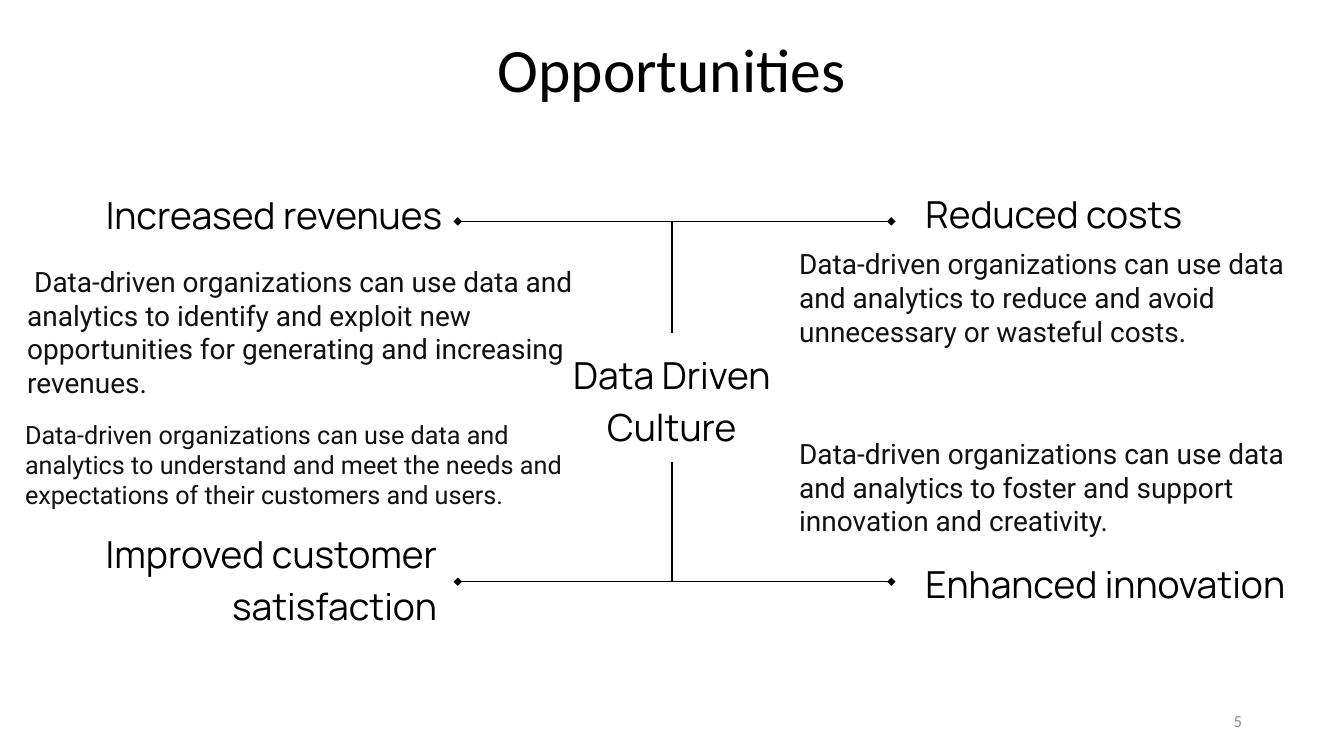
from lxml import etree
from pptx import Presentation
from pptx import util as u
from pptx.dml import color
from pptx.enum import shapes, text
from pptx.oxml import ns

WIDE, HIGH = u.Inches(13.33), u.Inches(7.5)
COLS, ROWS = 32, 18
MID = 16
LEFT, RIGHT = 10.9, 21.22
LOW, TOP = text.MSO_ANCHOR.BOTTOM, text.MSO_ANCHOR.TOP
FLUSH, CENTER, END = text.PP_ALIGN.LEFT, text.PP_ALIGN.CENTER, text.PP_ALIGN.RIGHT

HEADS = [
    ("Increased revenues", (0.91, 4.01, 9.94, 1.94), END),
    ("Data Driven Culture", (12.82, 7.93, 6.36, 3.07), CENTER),
    ("Improved customer satisfaction", (0.29, 13.32, 10.44, 1.94), END),
    ("Reduced costs", (21.72, 3.98, 7.8, 1.94), FLUSH),
    ("Enhanced innovation", (21.72, 12.79, 11.3, 1.94), FLUSH),
]
NOTES = [
    (" Data-driven organizations can use data and analytics to identify and exploit "
     "new opportunities for generating and increasing revenues.",
     (0.41, 6.18, 14.38, 3.48), 20),
    ("Data-driven organizations can use data and analytics to understand and meet "
     "the needs and expectations of their customers and users.",
     (0.36, 9.86, 13.44, 2.42), 18),
    ("Data-driven organizations can use data and analytics to reduce and avoid "
     "unnecessary or wasteful costs.",
     (18.79, 5.76, 12.29, 2.66), 20),
    ("Data-driven organizations can use data and analytics to foster and support "
     "innovation and creativity.",
     (18.79, 10.28, 13.25, 2.66), 20),
]


def col(n):
    return round(WIDE * n / COLS)


def row(n):
    return round(HIGH * n / ROWS)


def rgb(code):
    return color.RGBColor.from_string(code)


def put(item, form):
    for key, val in form.items():
        setattr(item, key, val)


def label(slide, words, area, face, size, tint, frame, para):
    x, y, w, h = area
    box = slide.shapes.add_textbox(col(x), row(y), col(w), row(h))
    put(box.text_frame, {"word_wrap": True, **frame})
    line = box.text_frame.paragraphs[0]
    put(line, para)
    run = line.add_run()
    run.text = words
    put(run.font, {"name": face, "size": u.Pt(size)})
    run.font.color.rgb = rgb(tint)


def pad(anchor):
    sides = ("left", "right", "top", "bottom")
    form = {f"margin_{side}": u.Inches(0.13) for side in sides}
    return {"vertical_anchor": anchor, **form}


def head(slide, words, area, align):
    label(slide, words, area, "Manrope", 26.67, "000000",
          pad(LOW), {"alignment": align, "line_spacing": 1.15})


def note(slide, words, area, size):
    grow = {"auto_size": text.MSO_AUTO_SIZE.SHAPE_TO_FIT_TEXT}
    label(slide, words, area, "Roboto", size, "111111", grow, {"alignment": FLUSH})


def branch(slide, edge, tip, bar):
    across, down = col(tip) - col(MID), row(bar) - row(edge)
    turn = 270 if across > 0 else 90
    half = abs(down) // 2
    if (across > 0) == (down > 0):
        half = -half
    rise = abs(across) // 2
    x, y = col(MID) + across // 2, row(edge) + down // 2
    link = slide.shapes.add_connector(
        shapes.MSO_CONNECTOR.ELBOW, x - half, y - rise, x + half, y + rise)
    link.line.width = u.Pt(0.75)
    link.line.color.rgb = rgb("000000")
    props = link._element.spPr
    props.find(ns.qn("a:xfrm")).set("rot", str(turn * 60000))
    props.find(ns.qn("a:prstGeom")).set("prst", "bentConnector2")
    etree.SubElement(link.line._get_or_add_ln(), ns.qn("a:tailEnd"), type="diamond")
    etree.SubElement(props, ns.qn("a:effectLst"))


def main():
    deck = Presentation()
    put(deck, {"slide_width": WIDE, "slide_height": HIGH})
    slide = deck.slides.add_slide(deck.slide_layouts[6])
    label(slide, "Opportunities", (2.52, 0.62, 26.95, 2.02), "Calibri", 44,
          "000000", pad(TOP), {"alignment": CENTER, "line_spacing": 0.9})
    for tip in (RIGHT, LEFT):
        branch(slide, 7.93, tip, 5.27)
        branch(slide, 11.01, tip, 13.85)
    for item in HEADS:
        head(slide, *item)
    for item in NOTES:
        note(slide, *item)
    label(slide, "5", (22.61, 16.68, 7.2, 0.96), "Calibri", 12, "8C8C8C",
          {"vertical_anchor": text.MSO_ANCHOR.MIDDLE}, {"alignment": END})
    deck.save("out.pptx")


if __name__ == "__main__":
    main()
